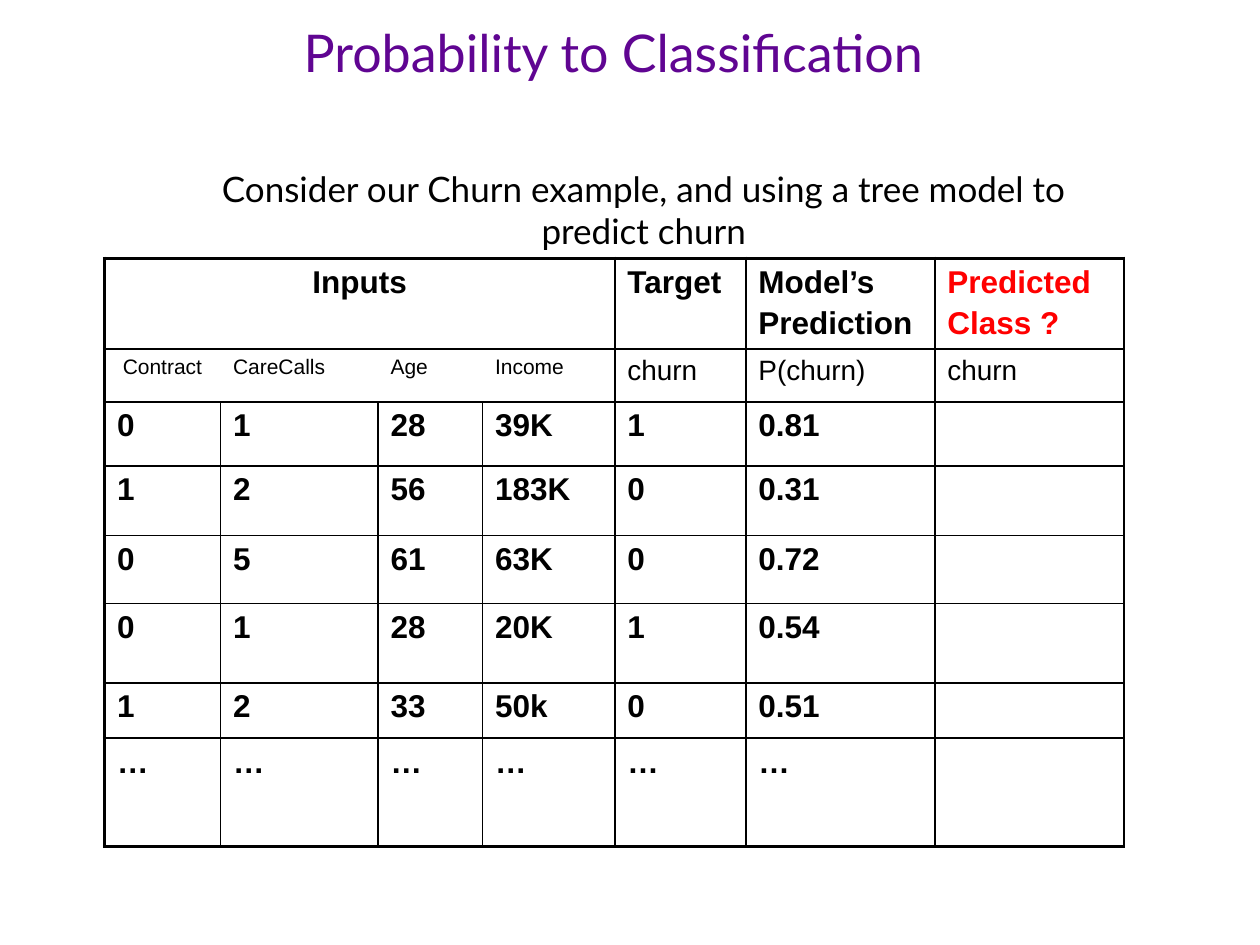
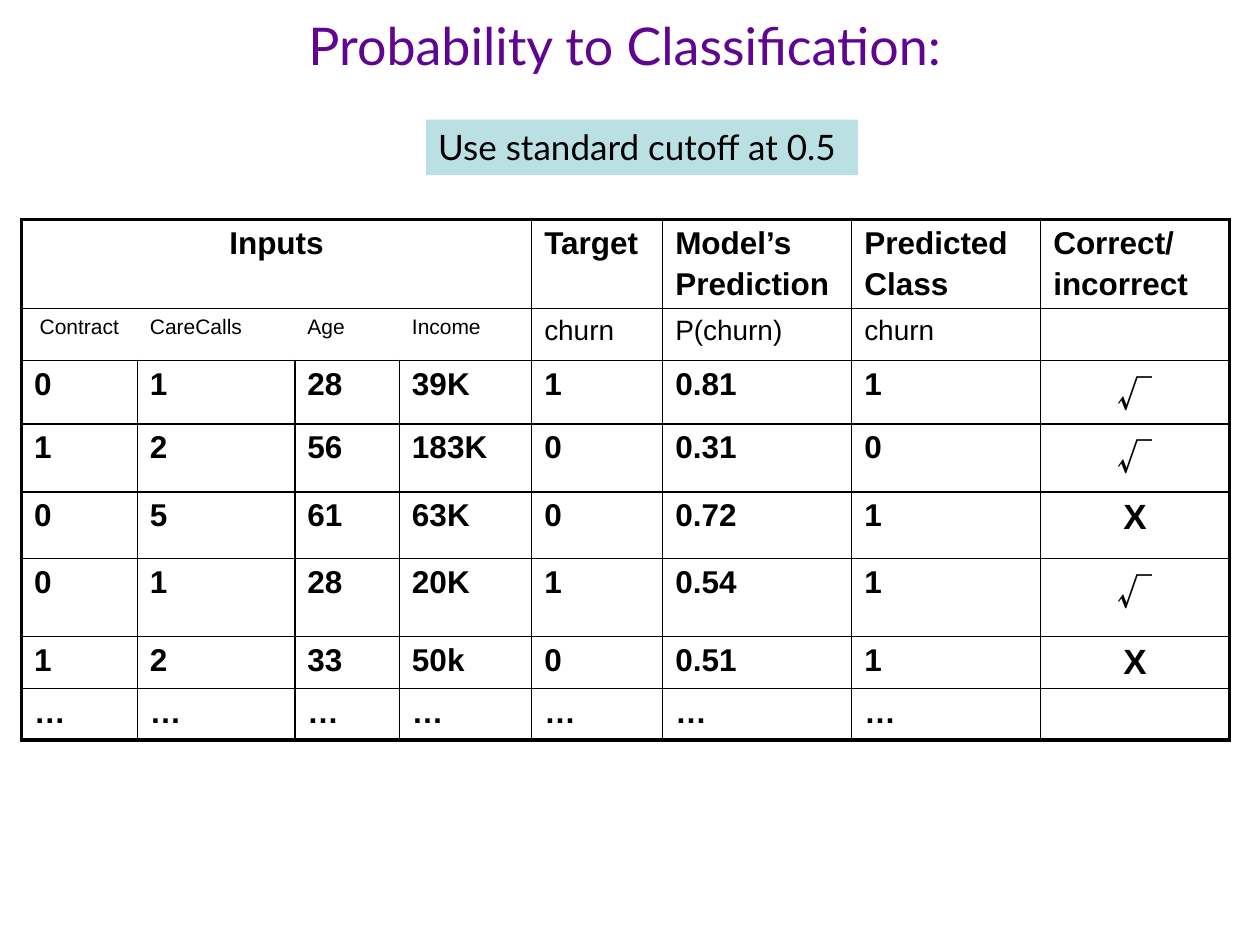
from dataclasses import dataclass
from typing import Optional

from lxml import etree
from pptx import Presentation
from pptx.dml.color import RGBColor
from pptx.enum.shapes import MSO_SHAPE
from pptx.enum.text import MSO_ANCHOR as ANCHOR, MSO_AUTO_SIZE as AUTO, PP_ALIGN as ALIGN
from pptx.oxml.ns import qn
from pptx.util import Inches, Pt

COLORS = {"title": "600592", "text": "000000", "alert": "FF0000", "note": "BBE0E3"}
BODY_FONT, TABLE_FONT, TICK_FONT = "Lato", "Arial", "Noto Sans CJK SC"
TITLE_SIZE = 29.7
THIN, THICK = 1, 2.25
INPUTS = 4
COL_WIDTHS = [0.92, 1.25, 0.83, 1.05, 1.04, 1.5, 1.5, 1.5]

HEADERS = ["Inputs", "", "", "", "Target", "Model’s\nPrediction"]
FIELDS = ["Contract", "CareCalls", "Age", "Income", "churn", "P(churn)", "churn"]
CUSTOMERS = [
    ["0", "1", "28", "39K", "1", "0.81"],
    ["1", "2", "56", "183K", "0", "0.31"],
    ["0", "5", "61", "63K", "0", "0.72"],
    ["0", "1", "28", "20K", "1", "0.54"],
    ["1", "2", "33", "50k", "0", "0.51"],
    ["…"] * 6,
]
OUTCOMES = [["1", "√"], ["0", "√"], ["1", "X"], ["1", "√"], ["1", "X"], ["…", ""]]


@dataclass
class Style:
    size: float
    font: str = TABLE_FONT
    color: str = "text"
    bold: bool = False
    align: Optional[ALIGN] = None


@dataclass
class ChurnTable:
    left: float
    top: float
    row_heights: list[float]
    rows: list[list[str]]
    right_border: float
    alert_header: Optional[int] = None


def add_run(p, text: str, style: Style) -> None:
    r = p.add_run()
    r.text = text
    r.font.size = Pt(style.size)
    r.font.name = style.font
    r.font.bold = style.bold
    r.font.color.rgb = RGBColor.from_string(COLORS[style.color])
    if style.font == TICK_FONT:
        ea = etree.SubElement(r.font._element, qn("a:ea"))
        ea.set("typeface", TICK_FONT)


def write(tf, text: str, style: Style) -> None:
    for i, line in enumerate(text.split("\n")):
        p = tf.add_paragraph() if i else tf.paragraphs[0]
        p.alignment = style.align
        if i:
            p.space_before = Pt(style.size * 0.2)
        add_run(p, line, style)


def add_title(slide, text: str, left: float, top: float) -> None:
    sp = slide.shapes.title
    sp.left, sp.top, sp.width, sp.height = map(Inches, (left, top, 9, 0.69))
    tf = sp.text_frame
    tf.auto_size = AUTO.NONE
    tf.vertical_anchor = ANCHOR.MIDDLE
    p = tf.paragraphs[0]
    p.alignment = ALIGN.CENTER
    add_run(p, text, Style(TITLE_SIZE, BODY_FONT, "title"))
    p.add_line_break()
    br = p._p.find(qn("a:br"))
    for parent, tag in ((br, "a:rPr"), (p._p, "a:endParaRPr")):
        props = etree.SubElement(parent, qn(tag))
        props.set("sz", str(round(TITLE_SIZE * 100)))
        etree.SubElement(props, qn("a:latin")).set("typeface", BODY_FONT)


def set_borders(cell, widths: dict[str, float]) -> None:
    tc_pr = cell._tc.get_or_add_tcPr()
    for i, (side, width) in enumerate(widths.items()):
        ln = etree.Element(qn(f"a:ln{side}"))
        ln.set("w", str(Pt(width)))
        if width:
            fill = etree.SubElement(ln, qn("a:solidFill"))
            etree.SubElement(fill, qn("a:srgbClr")).set("val", COLORS["text"])
        else:
            etree.SubElement(ln, qn("a:noFill"))
        tc_pr.insert(i, ln)


def cell_style(row: int, col: int, text: str, alert_header: Optional[int]) -> Style:
    if row == 0:
        color = "alert" if col == alert_header else "text"
        return Style(18, color=color, bold=True, align=None if col else ALIGN.CENTER)
    if row == 1:
        return Style(12 if col < INPUTS else 16, align=None if col else ALIGN.CENTER)
    if col == 7:
        font = TICK_FONT if text == "√" else TABLE_FONT
        return Style(20, font, bold=True, align=ALIGN.CENTER)
    return Style(18, bold=True)


def add_churn_table(slide, spec: ChurnTable) -> None:
    n_rows, n_cols = len(spec.rows), len(spec.rows[0])
    widths = COL_WIDTHS[:n_cols]
    table = slide.shapes.add_table(
        n_rows, n_cols, Inches(spec.left), Inches(spec.top),
        Inches(sum(widths)), Inches(sum(spec.row_heights))).table
    table.first_row = table.horz_banding = False
    for column, width in zip(table.columns, widths):
        column.width = Inches(width)
    for row, height in zip(table.rows, spec.row_heights):
        row.height = Inches(height)
    table.cell(0, 0).merge(table.cell(0, INPUTS - 1))

    for r, texts in enumerate(spec.rows):
        for c, text in enumerate(texts):
            cell = table.cell(r, c)
            cell.fill.background()
            open_left = r < 2 and 0 < c < INPUTS
            open_right = r < 2 and c < INPUTS - 1
            set_borders(cell, {
                "L": 0 if open_left else THIN if c else THICK,
                "R": 0 if open_right else THIN if c < n_cols - 1 else spec.right_border,
                "T": THIN if r else THICK,
                "B": THIN if r < n_rows - 1 else THICK,
            })
            if text:
                write(cell.text_frame, text, cell_style(r, c, text, spec.alert_header))


def add_note(slide, text: str, box: tuple[float, float, float, float],
             align: ALIGN, fill: Optional[str] = None) -> None:
    sp = slide.shapes.add_shape(MSO_SHAPE.RECTANGLE, *map(Inches, box))
    sp.shadow.inherit = False
    sp.line.fill.background()
    if fill:
        sp.fill.solid()
        sp.fill.fore_color.rgb = RGBColor.from_string(COLORS[fill])
    else:
        sp.fill.background()
    tf = sp.text_frame
    tf.word_wrap = True
    tf.vertical_anchor = ANCHOR.TOP
    write(tf, text, Style(20, BODY_FONT, align=align))


def main() -> None:
    prs = Presentation()
    prs.slide_width, prs.slide_height = Inches(10), Inches(7.5)
    title_only = prs.slide_layouts[5]

    slide = prs.slides.add_slide(title_only)
    add_title(slide, "Probability to Classification", 0.37, 0.31)
    add_churn_table(slide, ChurnTable(
        0.83, 2.05, [0.72, 0.42, 0.51, 0.55, 0.54, 0.63, 0.44, 0.86],
        [HEADERS + ["Predicted\nClass ?"], FIELDS] + [row + [""] for row in CUSTOMERS],
        right_border=THIN, alert_header=6))
    add_note(slide, "Consider our Churn example, and using a tree model to predict churn",
             (1.5, 1.28, 7.22, 0.77), ALIGN.CENTER)

    slide = prs.slides.add_slide(title_only)
    add_title(slide, "Probability to Classification:", 0.46, 0.26)
    add_churn_table(slide, ChurnTable(
        0.17, 1.74, [0.71, 0.41, 0.5, 0.54, 0.53, 0.62, 0.41, 0.41],
        [HEADERS + ["Predicted\nClass", "Correct/\nincorrect"], FIELDS + [""]]
        + [row + outcome for row, outcome in zip(CUSTOMERS, OUTCOMES)],
        right_border=THICK))
    add_note(slide, "Use standard cutoff at 0.5", (3.38, 0.95, 3.43, 0.44), ALIGN.LEFT, "note")

    prs.save("out.pptx")


if __name__ == "__main__":
    main()
